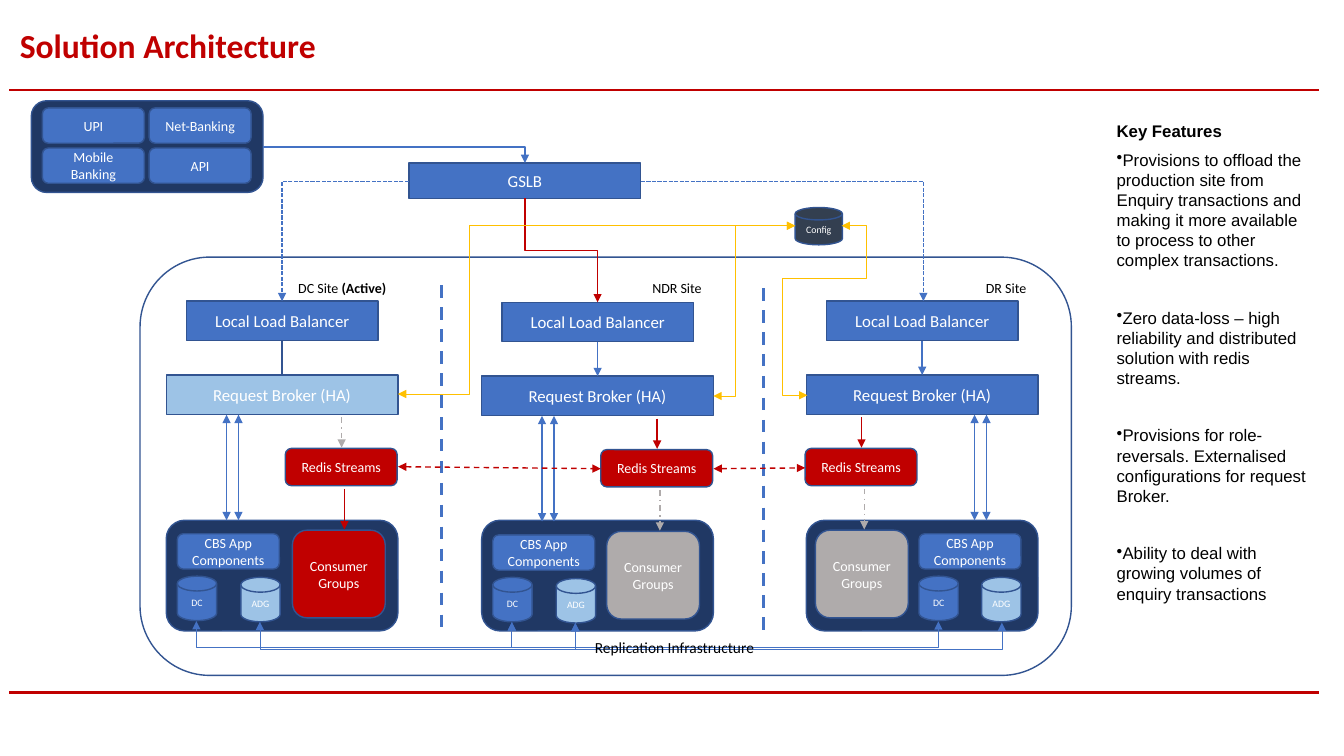
from lxml import etree
from pptx import Presentation
from pptx import util as u
from pptx.dml.color import RGBColor
from pptx.enum import dml, shapes, text
from pptx.oxml.ns import qn

HUES = {"red": "C00000", "navy": "203864", "blue": "4472C4", "edge": "325491",
        "sky": "9DC3E6", "grey": "AFABAB", "gold": "FFC000", "slate": "333F50",
        "white": "FFFFFF", "black": "000000"}
DASH = dml.MSO_LINE
KIND = shapes.MSO_SHAPE
ROUND, RECT, DISK = KIND.ROUNDED_RECTANGLE, KIND.RECTANGLE, KIND.FLOWCHART_MAGNETIC_DISK
ALIGN = text.PP_ALIGN
WIDE, SLIM = 5.84, 0.99
TILE = (2.57, 0.89)


def put(item, **vals):
    for key, val in vals.items():
        setattr(item, key, val)


def hue(name):
    return RGBColor.from_string(HUES[name])


class Board:
    def __init__(self, slide):
        self.items = slide.shapes

    def label(self, para, words, size, color, face="Calibri", bold=False):
        run = para.add_run()
        run.text = words
        put(run.font, size=u.Pt(size), name=face, bold=bold)
        run.font.color.rgb = hue(color)

    def shape(self, kind, x, y, w, h, fill=None, lines=(), size=10,
              color="white", align=ALIGN.CENTER, edge="edge"):
        """Each entry of lines is a paragraph: a string or a list of (words, bold)."""
        box = self.items.add_shape(kind, *map(u.Cm, (x, y, w, h)))
        box.shadow.inherit = False
        if fill:
            box.fill.solid()
            box.fill.fore_color.rgb = hue(fill)
        else:
            box.fill.background()
        if edge:
            box.line.color.rgb = hue(edge)
            box.line.width = u.Pt(1)
        else:
            box.line.fill.background()
        put(box.text_frame, word_wrap=True, vertical_anchor=text.MSO_ANCHOR.MIDDLE)
        for i, line in enumerate(lines):
            para = box.text_frame.add_paragraph() if i else box.text_frame.paragraphs[0]
            para.alignment = align
            for words, bold in [(line, False)] if isinstance(line, str) else line:
                self.label(para, words, size, color, bold=bold)

    def frame(self, x, y, w, h, anchor):
        frame = self.items.add_textbox(*map(u.Cm, (x, y, w, h))).text_frame
        put(frame, word_wrap=True, vertical_anchor=anchor)
        return frame

    def line(self, a, b, color, width=1, dash=None, ends="", kind="STRAIGHT"):
        """ends holds '<' for an arrowhead at a and '>' for one at b."""
        link = self.items.add_connector(getattr(shapes.MSO_CONNECTOR, kind),
                                        *map(u.Cm, (*a, *b)))
        link.line.color.rgb = hue(color)
        put(link.line, width=u.Pt(width), dash_style=dash)
        props = link._element.spPr
        stroke = props.find(qn("a:ln"))
        for mark, tag in (("<", "a:headEnd"), (">", "a:tailEnd")):
            if mark in ends:
                etree.SubElement(stroke, qn(tag), type="triangle")
        etree.SubElement(props, qn("a:effectLst"))
        return link

    def elbow(self, a, b, color, via=(), upright=False, **style):
        """Bent arrow; via lists the turning coordinates, upright starts it vertically."""
        (ax, ay), (bx, by) = a, b
        spans = [(ax, bx - ax), (ay, by - ay)]
        if upright:
            midx, midy, dx, dy = (ax + bx) / 2, (ay + by) / 2, (bx - ax) / 2, (by - ay) / 2
            a, b = (midx - dy, midy + dx), (midx + dy, midy - dx)
            spans.reverse()
        link = self.line(a, b, color, kind="ELBOW", **style)
        props = link._element.spPr
        if upright:
            props.find(qn("a:xfrm")).set("rot", "5400000")
        geom = props.find(qn("a:prstGeom"))
        geom.set("prst", f"bentConnector{len(via) + 2}")
        guides = geom.find(qn("a:avLst"))
        if guides is None:
            guides = etree.SubElement(geom, qn("a:avLst"))
        for i, turn in enumerate(via):
            start, span = spans[i % 2]
            etree.SubElement(guides, qn("a:gd"), name=f"adj{i + 1}",
                             fmla=f"val {round((turn - start) / span * 100000)}")

    def site(self, x, dy, name, active, app, group, redis, feed, gap):
        """One data centre; app, group, redis and feed are offsets from x."""
        live, idle = ("red", 1, None, ">"), ("grey", 1, DASH.DASH_DOT, ">")
        self.shape(RECT, x + 0.51, 7.59 + dy, 4.83, SLIM, "blue", ["Local Load Balancer"], 12)
        self.shape(RECT, x, 9.45 + dy, WIDE, SLIM, "sky" if active else "blue",
                   ["Request Broker (HA)"], 12)
        self.shape(ROUND, x, 13.11, WIDE, 2.79, "navy")
        self.shape(ROUND, x + app, 13.45 + dy, *TILE, "blue", ["CBS App Components"])
        self.shape(ROUND, x + group, 13.36 + dy, 2.34, 2.21, "red" if active else "grey",
                   ["Consumer", "Groups"])
        self.shape(DISK, x + app, 14.52 + dy, SLIM, 1.12, "blue", ["DC"], 7)
        self.shape(DISK, x + app + gap, 14.55 + dy, SLIM, 1.12, "sky", ["ADG"], 7)
        self.shape(ROUND, x + redis, 11.3 + dy, 2.82, 0.94, "red", ["Redis Streams"])
        self.shape(ROUND, x + 2.64, 6.78, 3.2, 0.94, lines=[name], color="black",
                   align=ALIGN.RIGHT, edge=None)
        hops = [(2.92, 8.59, 9.45, ("edge",) if active else ("blue", 1, None, ">")),
                (redis + 1.42, 10.52, 11.28, idle if active else live),
                (redis + 1.49, 12.32, 13.34, live if active else idle)]
        hops += [(feed + step, 10.45, 13.11, ("blue", 1, None, "<>")) for step in (0, 0.3)]
        for off, top, end, style in hops:
            self.line((x + off, top + dy), (x + off, end + dy), *style)


def main():
    deck = Presentation()
    put(deck, slide_width=u.Cm(33.87), slide_height=u.Cm(19.05))
    board = Board(deck.slides.add_slide(deck.slide_layouts[6]))

    for y in (2.26, 17.45):
        board.line((0.23, y), (33.25, y), "red", 1.5)
    title = board.frame(0.25, 0.28, 33, 1.85, text.MSO_ANCHOR.MIDDLE).paragraphs[0]
    title.line_spacing = 0.9
    board.label(title, "Solution Architecture", 24, "red", bold=True)

    board.shape(ROUND, 0.79, 2.54, WIDE, 2.31, "navy")
    for i, name in enumerate(["UPI", "Net-Banking", "Mobile Banking", "API"]):
        board.shape(ROUND, 1.07 + i % 2 * 2.69, 2.72 + i // 2 * 1.01, *TILE, "blue", [name])
    board.shape(RECT, 10.31, 4.11, WIDE, 0.89, "blue", ["GSLB"], 12)

    board.shape(ROUND, 3.53, 6.48, 23.47, 10.54)
    for x, y in ((11.13, 7.19), (19.25, 7.26)):
        board.line((x, y), (x, y + 8.82), "blue", 2.25, DASH.DASH)
    board.site(4.19, 0, [("DC Site", False), (" (Active)", True)], True,
               app=0.28, group=3.18, redis=3, feed=1.52, gap=1.6)
    board.site(12.14, 0.03, "NDR Site", False,
               app=0.28, group=3.15, redis=3, feed=1.52, gap=1.6)
    board.site(20.32, 0, "DR Site", False,
               app=2.84, group=0.23, redis=-0.03, feed=4.24, gap=1.58)

    for a, b in (((10.03, 11.76), (15.14, 11.81)), ((17.98, 11.81), (20.29, 11.79))):
        board.line(a, b, "red", 1, DASH.DASH, "<>")
    board.elbow((6.63, 3.71), (13.23, 4.11), "blue", ends=">")
    board.elbow((13.23, 5), (15.06, 7.62), "red", [6.32], True, ends=">")
    for a, b in (((10.31, 4.57), (7.11, 7.59)), ((16.15, 4.57), (23.27, 7.59))):
        board.elbow(a, b, "blue", dash=DASH.SQUARE_DOT, ends=">")

    stores = [([(4.95, 15.65), (12.9, 15.68), (23.65, 15.66)], 16.31),
              ([(6.55, 15.67), (14.5, 15.7), (25.25, 15.69)], 16.36)]
    for feet, depth in stores:
        for a, b in zip(feet, feet[1:]):
            board.elbow(a, b, "blue", [depth], True, width=0.5, ends="<>")
    board.shape(ROUND, 11.63, 15.85, 10.74, 0.94, lines=["Replication Infrastructure"],
                size=11, color="black", edge=None)

    board.shape(DISK, 20.04, 5.23, 1.19, 0.94, "slate", ["Config"], 7)
    routes = [(20.04, (10.03, 9.93), [11.84]), (20.04, (17.98, 9.98), [18.54]),
              (21.21, (20.35, 9.96), [21.84, 7.01, 19.71])]
    for x, goal, turns in routes:
        board.elbow((x, 5.69), goal, "gold", turns, width=0.75, ends="<>")

    notes = board.frame(27.89, 2.92, 5.49, 13.54, text.MSO_ANCHOR.TOP)
    board.label(notes.paragraphs[0], "Key Features", 12, "black", "Arial", True)
    points = ["Provisions to offload the production site from Enquiry transactions and making "
              "it more available to process to other complex transactions.",
              "Zero data-loss – high reliability and distributed solution with redis streams.",
              "Provisions for role-reversals. Externalised configurations for request Broker.",
              "Ability to deal with growing volumes of enquiry transactions"]
    for i, point in enumerate(points):
        para = notes.add_paragraph()
        etree.SubElement(para._p.get_or_add_pPr(), qn("a:buChar"), char="•")
        para.space_before = u.Pt(26.5 if i else 6)
        board.label(para, point, 12, "black", "Arial")

    deck.save("out.pptx")


if __name__ == "__main__":
    main()
